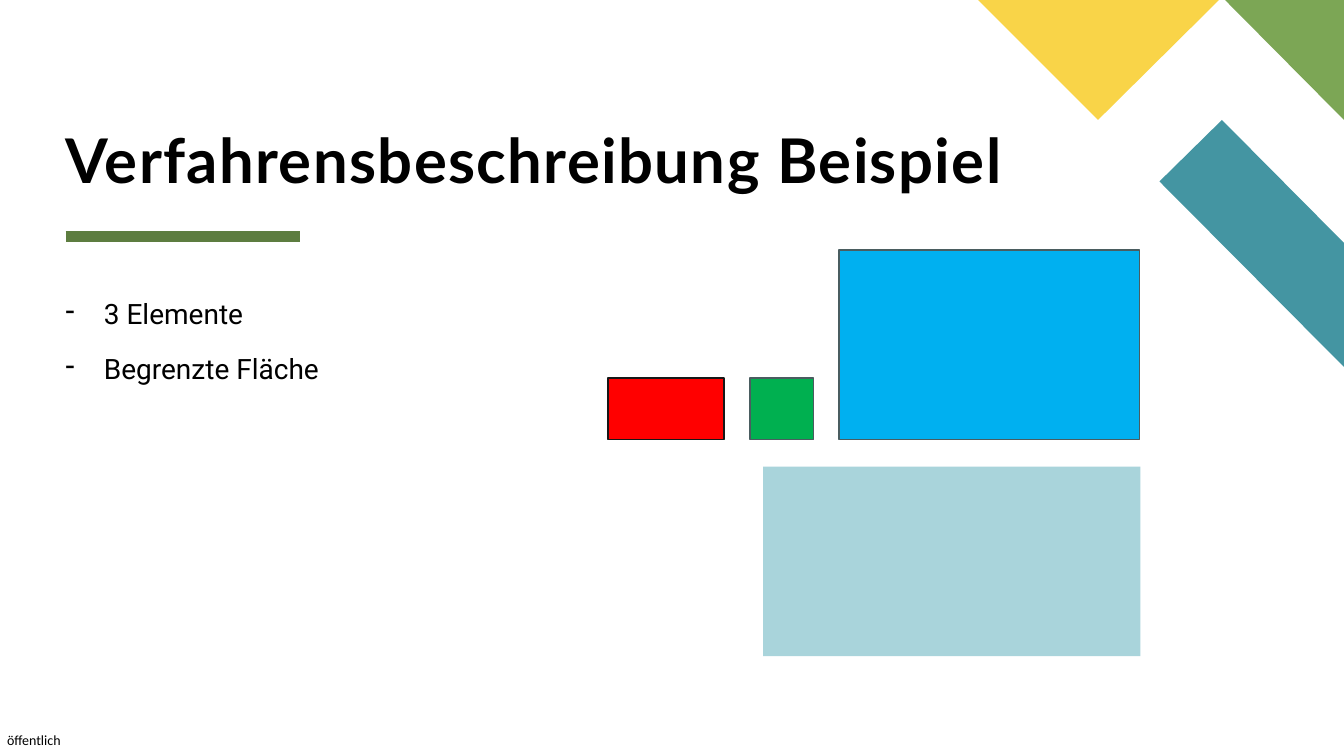
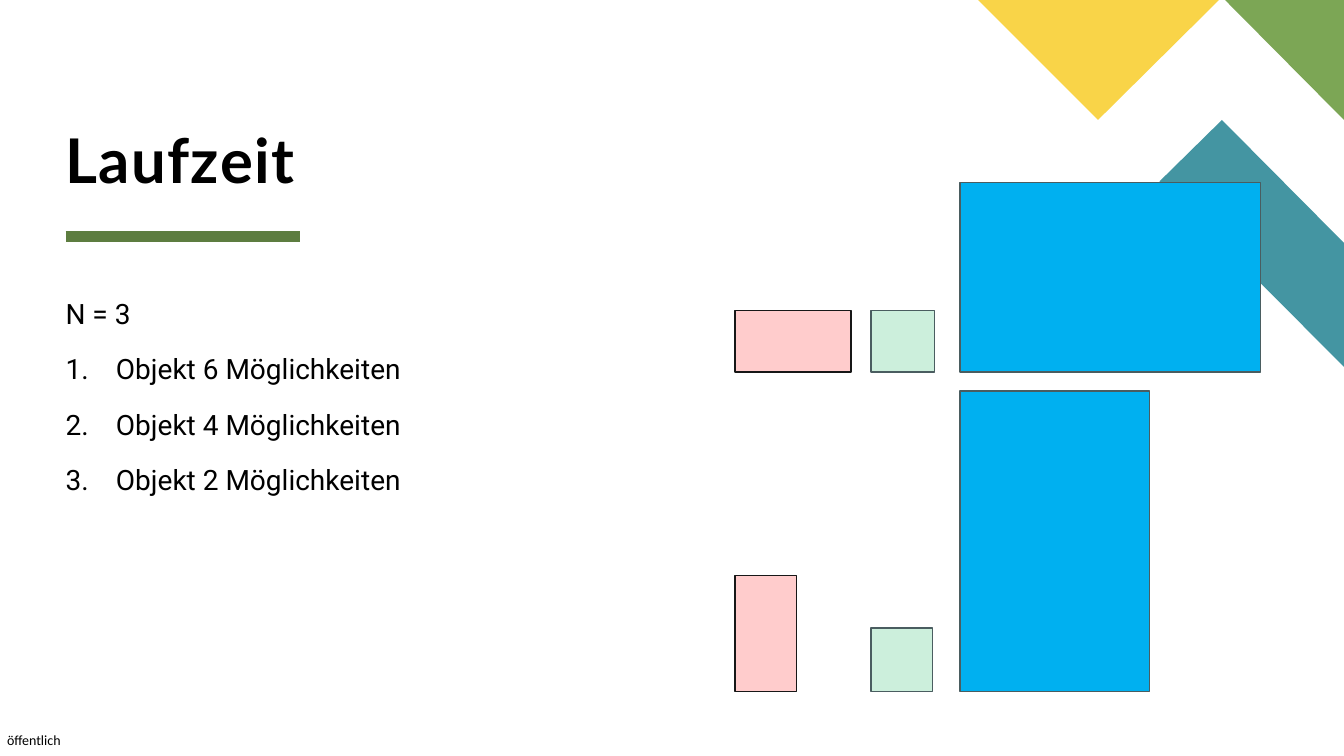
"""Build two slides on a placement method: example and running time."""
from lxml.etree import SubElement
from pptx import Presentation
from pptx.dml.color import RGBColor
from pptx.enum.shapes import MSO_CONNECTOR, MSO_SHAPE
from pptx.enum.text import MSO_ANCHOR, MSO_AUTO_SIZE
from pptx.oxml.ns import qn
from pptx.util import Inches, Pt

RECT, LINE = MSO_SHAPE.RECTANGLE, MSO_CONNECTOR.STRAIGHT
TOP, BOTTOM = MSO_ANCHOR.TOP, MSO_ANCHOR.BOTTOM
FIT, FIXED = MSO_AUTO_SIZE.SHAPE_TO_FIT_TEXT, MSO_AUTO_SIZE.NONE

WIDE, HIGH = 13.33, 7.5
LEFT = 0.65
BLACK, DARK, GREY = "000000", "171717", "4A5D60"
RULE, AREA = "5D7D40", "A9D4DB"

BANDS = [
    ("4495A2", [(WIDE, 3.64), (WIDE, 2.41), (12.12, 1.19), (11.5, 1.8)]),
    ("7CA655", [(WIDE, 1.19), (WIDE, 0), (12.15, 0)]),
    ("F9D448", [(9.7, 0), (10.89, 1.19), (12.09, 0)]),
]

STYLES = {
    "title": {
        "frame": {"vertical_anchor": BOTTOM, "word_wrap": True, "auto_size": FIXED},
        "inset": (0, 0, 0, 0),
        "para": {"line_spacing": 0.8},
        "font": {"name": "Lato", "size": Pt(44), "bold": True},
        "track": 100,
    },
    "body": {
        "frame": {"vertical_anchor": TOP, "word_wrap": True, "auto_size": FIXED},
        "inset": (0, 0.05, 0.1, 0.05),
        "para": {"line_spacing": 0.9, "space_before": Pt(18)},
        "font": {"name": "Roboto", "size": Pt(20)},
    },
    "foot": {
        "frame": {"vertical_anchor": TOP, "word_wrap": False, "auto_size": FIT},
        "inset": (0, 0, 0, 0),
        "para": {},
        "font": {"name": "Calibri", "size": Pt(10)},
    },
}

MARKS = {
    "dash": (0.38, "a:buChar", {"char": "-"}),
    "count": (0.5, "a:buAutoNum", {"type": "arabicPeriod"}),
}

ITEMS = {
    "red": (1.15, 0.61, "FF0000", DARK),
    "green": (0.63, 0.61, "00B050", GREY),
    "blue": (2.98, 1.88, "00B0F0", GREY),
}

FOOT = "öffentlich"
SLIDES = [
    {
        "title": "Verfahrensbeschreibung Beispiel",
        "width": 2.76,
        "body": [("3 Elemente", "dash"), ("Begrenzte Fläche", "dash")],
        "cols": (6.03, 7.44, 8.32),
        "rows": [(4.36, False)],
        "faded": (),
        "area": (7.57, 4.63, 3.74, 1.88),
    },
    {
        "title": "Laufzeit",
        "width": 6.28,
        "body": [
            ("N = 3", None),
            ("Objekt 6 Möglichkeiten", "count"),
            ("Objekt 4 Möglichkeiten", "count"),
            ("Objekt 2 Möglichkeiten", "count"),
        ],
        "cols": (7.29, 8.64, 9.52),
        "rows": [(3.69, False), (6.86, True)],
        "faded": ("red", "green"),
        "area": None,
    },
]


def tint(code):
    return RGBColor.from_string(code)


def apply(part, values):
    for key, value in values.items():
        setattr(part, key, value)


def paint(shape, fill, edge=None, alpha=None):
    shape.shadow.inherit = False
    shape.fill.solid()
    shape.fill.fore_color.rgb = tint(fill)
    if alpha:
        color = shape.element.spPr.find(".//" + qn("a:srgbClr"))
        SubElement(color, qn("a:alpha"), val=str(alpha * 1000))
    if edge:
        shape.line.color.rgb = tint(edge)
        shape.line.width = Pt(1)
    else:
        shape.line.fill.background()


def box(slide, place, fill, edge=None, alpha=None):
    shape = slide.shapes.add_shape(RECT, *map(Inches, place))
    paint(shape, fill, edge, alpha)


def write(slide, place, lines, kind):
    style = STYLES[kind]
    frame = slide.shapes.add_textbox(*map(Inches, place)).text_frame
    apply(frame, style["frame"])
    sides = ("margin_left", "margin_top", "margin_right", "margin_bottom")
    apply(frame, dict(zip(sides, map(Inches, style["inset"]))))
    for i, (text, mark) in enumerate(lines):
        para = frame.add_paragraph() if i else frame.paragraphs[0]
        apply(para, style["para"])
        run = para.add_run()
        run.text = text
        apply(run.font, style["font"])
        run.font.color.rgb = tint(BLACK)
        if "track" in style:
            run._r.get_or_add_rPr().set("spc", str(style["track"]))
        if mark:
            indent, tag, values = MARKS[mark]
            props = para._p.get_or_add_pPr()
            props.set("marL", str(Inches(indent)))
            props.set("indent", str(-Inches(indent)))
            SubElement(props, qn(tag), values)


def frame_slide(slide, title):
    write(slide, (0.07, 7.26, 0.57, 0.17), [(FOOT, None)], "foot")
    for fill, points in BANDS:
        start, *rest = [tuple(map(Inches, point)) for point in points]
        path = slide.shapes.build_freeform(*start)
        path.add_line_segments(rest, close=True)
        paint(path.convert_to_shape(), fill)
    ends = map(Inches, (LEFT, 2.35, 2.98, 2.35))
    rule = slide.shapes.add_connector(LINE, *ends)
    rule.line.color.rgb = tint(RULE)
    rule.line.width = Pt(8)
    SubElement(rule._element.spPr, qn("a:effectLst"))
    write(slide, (LEFT, 0.22, 12, 1.72), [(title, None)], "title")


def main():
    deck = Presentation()
    deck.slide_width, deck.slide_height = Inches(WIDE), Inches(HIGH)
    for data in SLIDES:
        slide = deck.slides.add_slide(deck.slide_layouts[6])
        frame_slide(slide, data["title"])
        write(slide, (LEFT, 2.93, data["width"], 3.93), data["body"], "body")
        for base, turned in data["rows"]:
            for left, (name, item) in zip(data["cols"], ITEMS.items()):
                wide, high, fill, edge = item
                if turned:
                    wide, high = high, wide
                alpha = 20 if name in data["faded"] else None
                box(slide, (left, base - high, wide, high), fill, edge, alpha)
        if data["area"]:
            box(slide, data["area"], AREA)
    deck.save("out.pptx")


if __name__ == "__main__":
    main()
